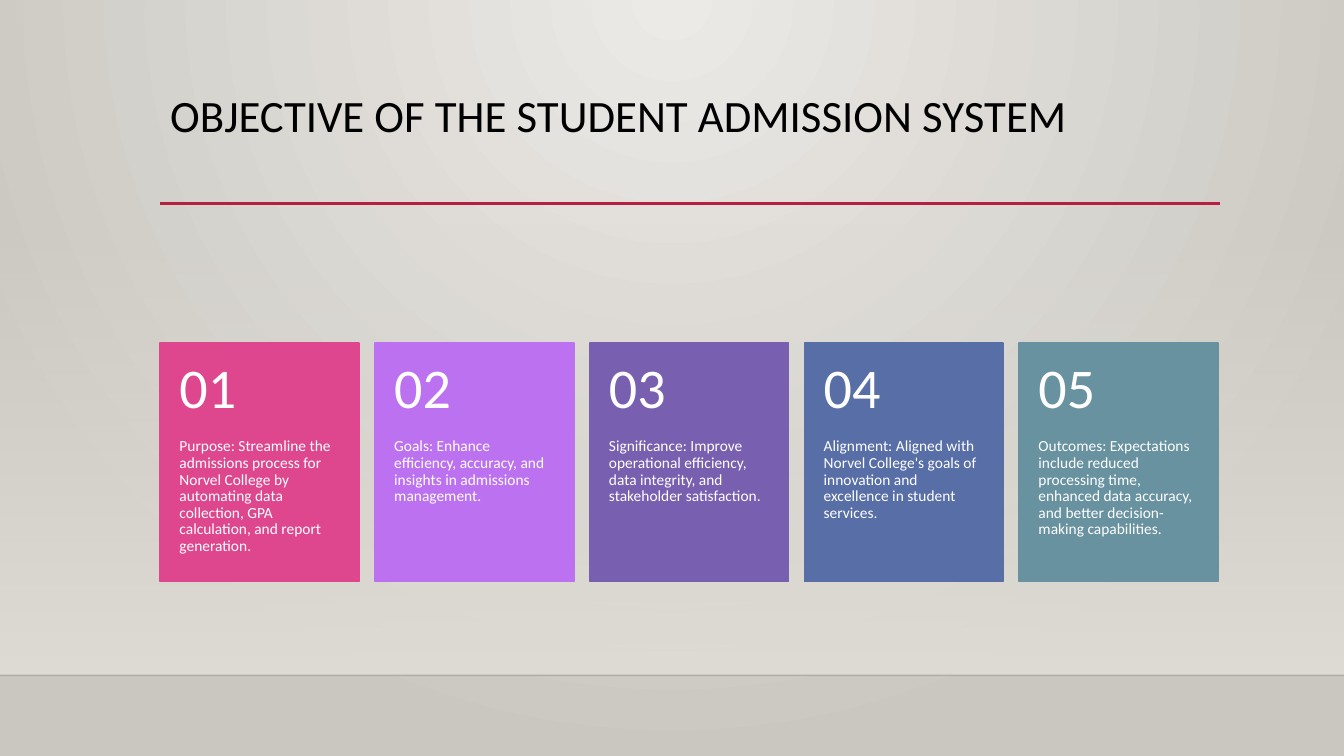
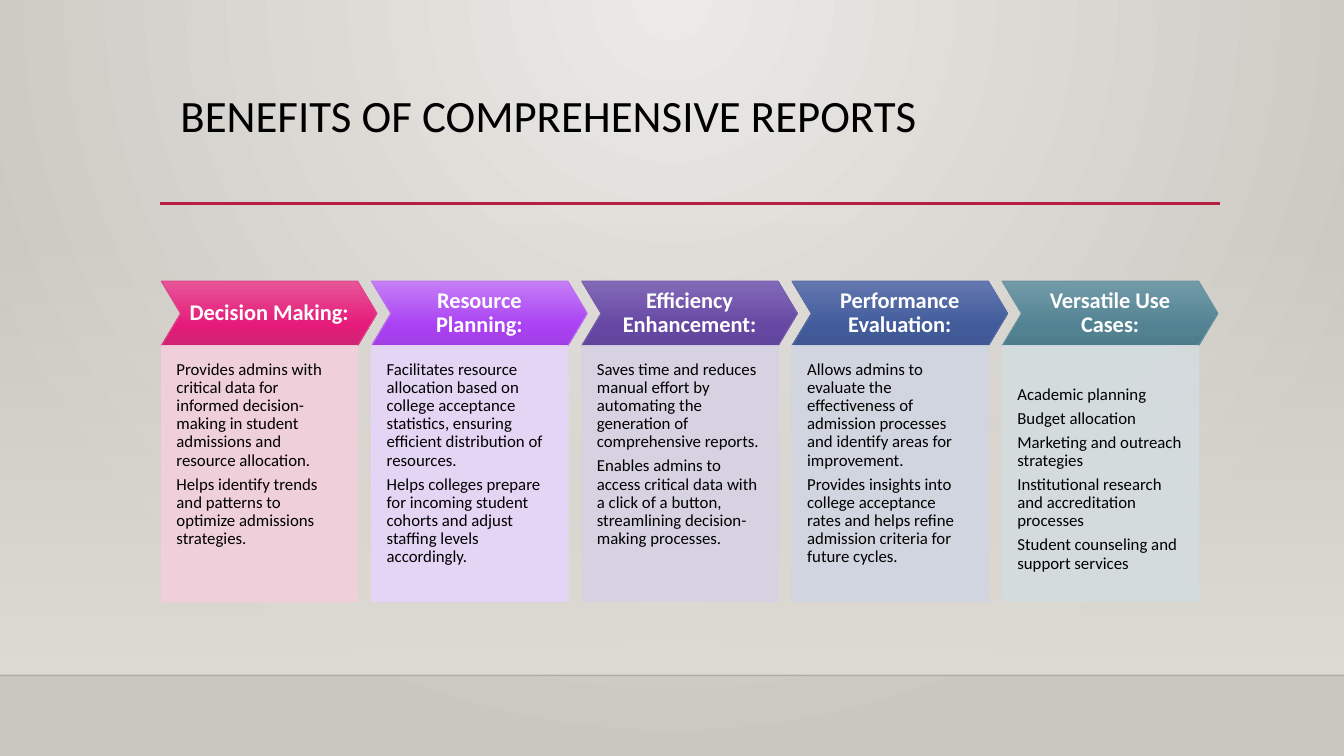
from dataclasses import dataclass

import pptx
import pptx.dml.color
import pptx.enum.shapes
import pptx.enum.text
import pptx.oxml
import pptx.oxml.ns
import pptx.util

Inches = pptx.util.Inches
Pt = pptx.util.Pt
Shape = pptx.enum.shapes.MSO_SHAPE
Anchor = pptx.enum.text.MSO_ANCHOR
Align = pptx.enum.text.PP_ALIGN
qn = pptx.oxml.ns.qn


@dataclass(frozen=True)
class Theme:
    font: str = "Calibri"
    title_size: int = 32
    number_size: int = 40
    card_size: int = 11
    heading_size: int = 16
    panel_size: int = 12
    dark: str = "000000"
    light: str = "FFFFFF"
    rule: str = "B71E42"
    floor_line: str = "000001"
    backdrop: tuple = ((0, "ECEAE7", 100), (100, "CAC7C1", 100))
    floor_fade: tuple = ((0, "DFDBD5", 0), (100, "DFDBD5", 100))
    accents: tuple = ("DE478E", "BC72F0", "795FAF", "586EA6", "6892A0")
    tints: tuple = ("F2CFDB", "E7D5F9", "D7D2E3", "D1D5E1", "D4DCDF")
    heading_fades: tuple = (
        ("E75597", "E51A79", "CF2374"),
        ("C57FF7", "AA41F3", "A13FE5"),
        ("836AB8", "6648A3", "60459A"),
        ("6378B0", "425B9B", "3F5793"),
        ("729BA9", "538393", "4F7C8B"),
    )


THEME = Theme()
DOWNWARD = '<a:lin {ns} ang="5400000" scaled="0"/>'
FROM_TOP_CENTRE = (
    '<a:path {ns} path="circle">'
    '<a:fillToRect l="43000" t="0" r="43000" b="100000"/></a:path>'
)

OBJECTIVES = (
    "Purpose: Streamline the admissions process for Norvel College by automating "
    "data collection, GPA calculation, and report generation.",
    "Goals: Enhance efficiency, accuracy, and insights in admissions management.",
    "Significance: Improve operational efficiency, data integrity, and stakeholder "
    "satisfaction.",
    "Alignment: Aligned with Norvel College's goals of innovation and excellence in "
    "student services.",
    "Outcomes: Expectations include reduced processing time, enhanced data accuracy, "
    "and better decision-making capabilities.",
)

BENEFITS = (
    ("Decision Making:", 0.15, (
        "Provides admins with critical data for informed decision-making in student "
        "admissions and resource allocation.",
        "Helps identify trends and patterns to optimize admissions strategies.",
    )),
    ("Resource Planning:", 0.15, (
        "Facilitates resource allocation based on college acceptance statistics, "
        "ensuring efficient distribution of resources.",
        "Helps colleges prepare for incoming student cohorts and adjust staffing "
        "levels accordingly.",
    )),
    ("Efficiency Enhancement:", 0.15, (
        "Saves time and reduces manual effort by automating the generation of "
        "comprehensive reports.",
        "Enables admins to access critical data with a click of a button, "
        "streamlining decision-making processes.",
    )),
    ("Performance Evaluation:", 0.15, (
        "Allows admins to evaluate the effectiveness of admission processes and "
        "identify areas for improvement.",
        "Provides insights into college acceptance rates and helps refine admission "
        "criteria for future cycles.",
    )),
    ("Versatile Use Cases:", 0.4, (
        "Academic planning",
        "Budget allocation",
        "Marketing and outreach strategies",
        "Institutional research and accreditation processes",
        "Student counseling and support services",
    )),
)


def rgb(color):
    return pptx.dml.color.RGBColor.from_string(color)


def set_alpha(parent, percent):
    for color in parent.iter(qn("a:srgbClr")):
        alpha = color.makeelement(qn("a:alpha"), {"val": str(percent * 1000)})
        color.append(alpha)


def set_gradient(fill, owner, stops, direction):
    fill.gradient()
    gradient = next(owner.iter(qn("a:gradFill")))
    for child in list(gradient):
        gradient.remove(child)
    namespace = pptx.oxml.ns.nsdecls("a")
    entries = "".join(
        f'<a:gs pos="{position * 1000}"><a:srgbClr val="{color}">'
        f'<a:alpha val="{alpha * 1000}"/></a:srgbClr></a:gs>'
        for position, color, alpha in stops
    )
    gradient.append(pptx.oxml.parse_xml(f"<a:gsLst {namespace}>{entries}</a:gsLst>"))
    gradient.append(pptx.oxml.parse_xml(direction.format(ns=namespace)))


def add_block(slide, preset, box, line=None, width=0.75):
    block = slide.shapes.add_shape(preset, *map(Inches, box))
    block.shadow.inherit = False
    if line:
        block.line.color.rgb = rgb(line)
        block.line.width = Pt(width)
    else:
        block.line.fill.background()
    return block


def fill_solid(block, color):
    block.fill.solid()
    block.fill.fore_color.rgb = rgb(color)


def add_rule(slide, left, right, top, color, width):
    rule = slide.shapes.add_connector(
        pptx.enum.shapes.MSO_CONNECTOR.STRAIGHT,
        Inches(left), Inches(top), Inches(right), Inches(top),
    )
    rule.line.color.rgb = rgb(color)
    rule.line.width = Pt(width)
    properties = rule._element.spPr
    properties.append(properties.makeelement(qn("a:effectLst"), {}))
    return rule


def write(holder, paragraphs, size, color, insets, anchor=Anchor.TOP,
          align=Align.LEFT, bold=False):
    frame = holder.text_frame
    frame.word_wrap = True
    frame.vertical_anchor = anchor
    (frame.margin_left, frame.margin_top,
     frame.margin_right, frame.margin_bottom) = map(Inches, insets)
    for index, text in enumerate(paragraphs):
        paragraph = frame.paragraphs[0] if index == 0 else frame.add_paragraph()
        paragraph.alignment = align
        paragraph.line_spacing = 0.9
        paragraph.space_after = Pt(size * 0.35)
        run = paragraph.add_run()
        run.text = text
        run.font.name = THEME.font
        run.font.size = Pt(size)
        run.font.bold = bold
        run.font.color.rgb = rgb(color)


def add_text(slide, box, *content, **style):
    write(slide.shapes.add_textbox(*map(Inches, box)), *content, **style)


def row_lefts(first, last, count=5):
    step = (last - first) / (count - 1)
    return [first + step * index for index in range(count)]


def add_framed_slide(deck, title, title_inset=0.1):
    slide = deck.slides.add_slide(deck.slide_layouts[6])
    set_gradient(slide.background.fill, slide._element, THEME.backdrop, FROM_TOP_CENTRE)
    floor = add_block(slide, Shape.RECTANGLE, (0, 2.21, 13.33, 4.49))
    set_gradient(floor.fill, floor._element, THEME.floor_fade, DOWNWARD)
    horizon = add_rule(slide, 0, 13.33, 6.7, THEME.floor_line, 1)
    set_alpha(horizon._element, 20)
    add_rule(slide, 1.59, 12.1, 2.02, THEME.rule, 2.5)
    add_text(slide, (1.59, 0.88, 10.5, 1.15), [title], THEME.title_size,
             THEME.dark, (title_inset, 0.05, 0.1, 0.05))
    return slide


def add_objective_card(slide, left, number, text, color):
    card = add_block(slide, Shape.RECTANGLE, (left, 3.4, 1.97, 2.37), color, 1.25)
    fill_solid(card, color)
    write(card, [text], THEME.card_size, THEME.light, (0.19, 0.95, 0.19, 0.36))
    add_text(slide, (left, 3.4, 1.97, 0.95), [f"{number:02}"], THEME.number_size,
             THEME.light, (0.19, 0.18, 0.19, 0.18), anchor=Anchor.MIDDLE)


def add_benefit_heading(slide, left, text, fade, outline):
    heading = add_block(slide, Shape.CHEVRON, (left, 2.79, 2.14, 0.64), outline)
    heading.adjustments[0] = 0.3
    stops = [(position, color, 100) for position, color in zip((0, 69, 100), fade)]
    set_gradient(heading.fill, heading._element, stops, DOWNWARD)
    write(heading, [text], THEME.heading_size, THEME.light, (0.08,) * 4,
          anchor=Anchor.MIDDLE, align=Align.CENTER, bold=True)


def add_benefit_panel(slide, left, points, tint, top_inset):
    panel = add_block(slide, Shape.RECTANGLE, (left, 3.43, 1.95, 2.54), tint)
    fill_solid(panel, tint)
    set_alpha(panel._element.spPr, 90)
    write(panel, points, THEME.panel_size, THEME.dark, (0.15, top_inset, 0.15, 0.31))


def build_objectives(deck):
    slide = add_framed_slide(deck, "OBJECTIVE OF THE STUDENT ADMISSION SYSTEM")
    cards = zip(row_lefts(1.59, 10.11), OBJECTIVES, THEME.accents)
    for number, (left, text, color) in enumerate(cards, 1):
        add_objective_card(slide, left, number, text, color)


def build_benefits(deck):
    slide = add_framed_slide(deck, "BENEFITS OF COMPREHENSIVE REPORTS", 0.2)
    columns = zip(row_lefts(1.6, 9.94), BENEFITS, THEME.heading_fades,
                  THEME.accents, THEME.tints)
    for left, (heading, top_inset, points), fade, accent, tint in columns:
        add_benefit_heading(slide, left, heading, fade, accent)
        add_benefit_panel(slide, left, points, tint, top_inset)


def main():
    deck = pptx.Presentation()
    deck.slide_width = Inches(13.33)
    deck.slide_height = Inches(7.5)
    build_objectives(deck)
    build_benefits(deck)
    deck.save("out.pptx")


if __name__ == "__main__":
    main()
